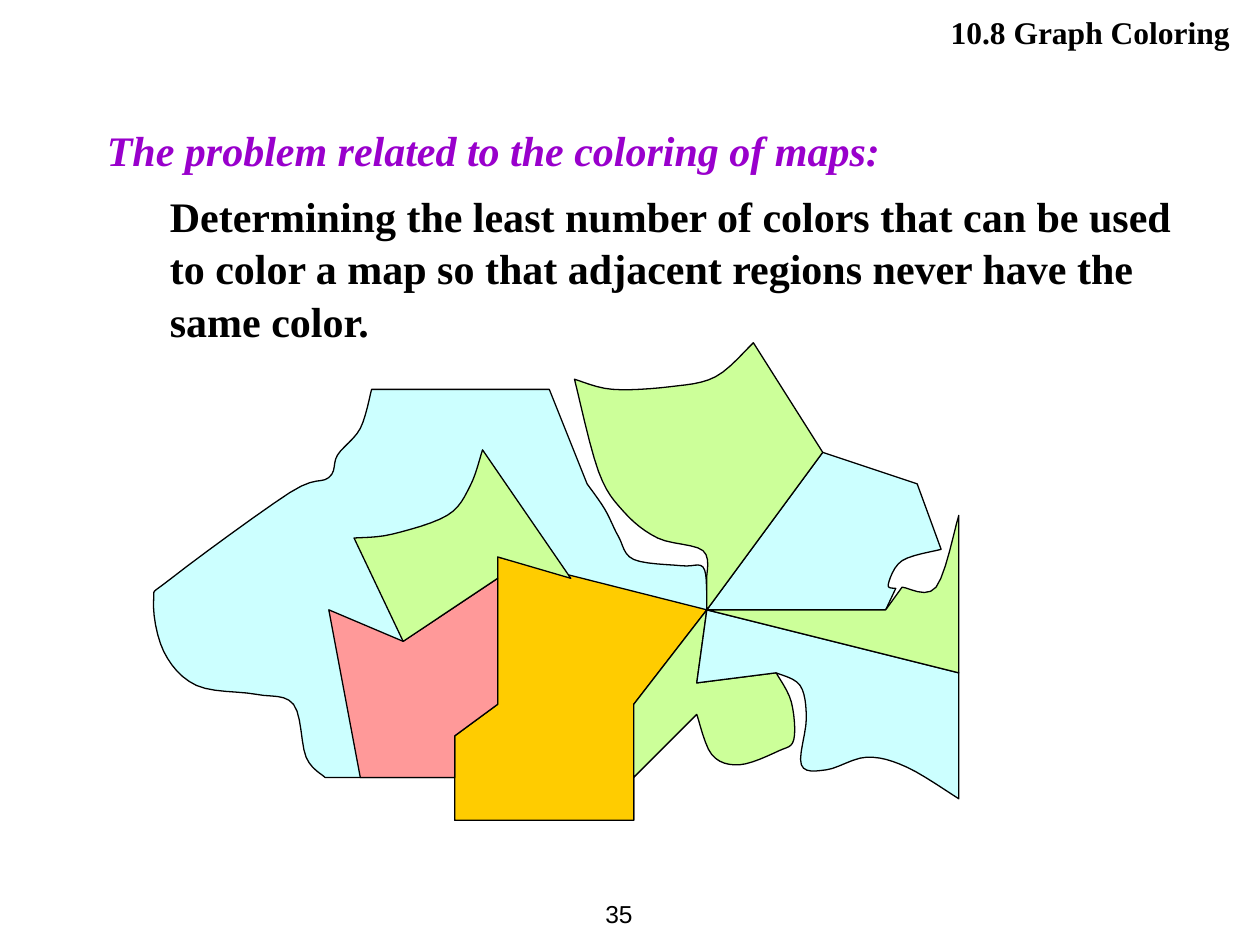
import pptx
import pptx.util
import pptx.dml.color
import pptx.enum.text

Inches, Pt = pptx.util.Inches, pptx.util.Pt
RGB = pptx.dml.color.RGBColor
Align, Anchor = pptx.enum.text.PP_ALIGN, pptx.enum.text.MSO_ANCHOR
AutoSize = pptx.enum.text.MSO_AUTO_SIZE

COLORS = {
    "black": "000000", "purple": "9900CC", "blue": "CCFFFF",
    "orange": "FFCC00", "red": "FF9999", "green": "CCFF99",
}
SERIF, SANS = "Times New Roman", "Arial"
CURVE_STEPS = 6
MAP_GRID = (117, 272, 644, 379)

JOINTS = {
    "hub": (561, 484), "elbow": (503, 559), "port": (503, 617),
    "south east": (503, 651), "south west": (361, 651), "cape": (361, 617),
    "notch": (361, 584), "step": (395, 559), "peak": (395, 442),
    "fork": (395, 459), "valley": (320, 509), "foot": (286, 617),
    "shoulder": (261, 484), "spur": (453, 459), "inlet": (553, 542),
    "border": (761, 534), "bay": (703, 484), "ridge": (653, 359),
    "corner": (728, 384), "top": (436, 309),
}
COASTS = {
    "west": [(295, 309), (286, 340), (268, 361), (261, 379), (230, 391),
             (136, 459), (122, 476), (130, 517), (156, 544), (203, 551),
             (233, 559), (243, 601), (258, 617)],
    "strait": [(561, 470), (558, 450), (541, 449), (503, 444), (491, 426),
               (480, 404), (466, 384)],
    "centre": [(281, 427), (311, 424), (355, 409), (373, 386), (383, 357)],
    "island": [(553, 567), (565, 599), (587, 607), (618, 596), (630, 587),
               (628, 557), (616, 534)],
    "gulf": [(761, 634), (720, 609), (688, 601), (656, 611), (636, 607),
             (640, 570), (635, 544), (616, 534)],
    "creek": [(711, 467), (705, 464), (716, 445), (747, 436)],
    "tongue": [(761, 409), (743, 466), (716, 466)],
    "channel": [(561, 459), (558, 437), (522, 427), (495, 406), (475, 374),
                (456, 301)],
    "north": [(456, 301), (486, 309), (531, 307), (568, 299), (598, 272)],
}
REGIONS = [
    ("blue", ["west", "cape", "south west", "south east", "elbow", "hub",
              "strait", "top"]),
    ("orange", ["south west", "notch", "step", "peak", "hub", "elbow",
                "south east"]),
    ("red", ["foot", "shoulder", "valley", "fork", "step", "notch", "cape"]),
    ("green", ["valley", "centre", "spur", "peak", "fork"]),
    ("green", ["port", "island", "inlet", "hub", "elbow"]),
    ("blue", ["hub", "border", "gulf", "inlet"]),
    ("blue", ["hub", "bay", "creek", "corner", "ridge"]),
    ("green", ["bay", "hub", "border", "tongue"]),
    ("green", ["hub", "channel", "north", "ridge"]),
]


def color(name):
    return RGB.from_string(COLORS[name])


def style(p, size, name, ink="black", bold=False, italic=False):
    for r in p.runs:
        f = r.font
        f.size, f.name, f.bold, f.italic = Pt(size), name, bold, italic
        f.color.rgb = color(ink)


def smooth(points):
    padded = [points[0], *points, points[-1]]
    curve = [points[0]]
    for a, b, c, d in zip(padded, padded[1:], padded[2:], padded[3:]):
        for i in range(1, CURVE_STEPS + 1):
            t = i / CURVE_STEPS
            curve.append(tuple(
                q + t / 2 * (r - p + t * (2 * p - 5 * q + 4 * r - u
                                          + t * (3 * (q - r) + u - p)))
                for p, q, r, u in zip(a, b, c, d)))
    return curve


def outline(names):
    points = []
    for name in names:
        points += smooth(COASTS[name]) if name in COASTS else [JOINTS[name]]
    return points


def add_heading(s, box):
    sp = s.shapes.title
    sp.left, sp.top, sp.width, sp.height = map(Inches, box)
    tf = sp.text_frame
    tf.text = "10.8 Graph Coloring"
    tf.vertical_anchor, tf.auto_size = Anchor.TOP, AutoSize.NONE
    tf.margin_right = Inches(0.16)
    p = tf.paragraphs[0]
    p.alignment = Align.RIGHT
    style(p, 18, SERIF, bold=True)


def add_problem(s, box):
    tf = s.shapes.add_textbox(*map(Inches, box)).text_frame
    tf.word_wrap = True
    tf.text = ("The problem related to the coloring of maps:\n"
               "Determining the least number of colors that can be used to color "
               "a map so that adjacent regions never have the same color.")
    question, answer = tf.paragraphs
    for p in (question, answer):
        p.line_spacing = 1.05
    answer.space_before = Pt(7.2)
    answer._p.get_or_add_pPr().set("marL", str(Inches(0.5)))
    style(question, 24, SERIF, "purple", bold=True, italic=True)
    style(answer, 24, SERIF, bold=True)


def add_map(s, box):
    left, top, width, height = box
    x0, y0, columns, rows = MAP_GRID
    for fill, names in REGIONS:
        points = [(Inches(left + (x - x0) / columns * width),
                   Inches(top + (y - y0) / rows * height))
                  for x, y in outline(names)]
        builder = s.shapes.build_freeform(*points[0])
        builder.add_line_segments(points[1:], close=True)
        sp = builder.convert_to_shape()
        sp.shadow.inherit = False
        sp.fill.solid()
        sp.fill.fore_color.rgb = color(fill)
        sp.line.color.rgb = color("black")
        sp.line.width = Pt(0.75)


def add_page_number(s, box):
    tf = s.shapes.add_textbox(*map(Inches, box)).text_frame
    tf.text = "35"
    tf.word_wrap, tf.vertical_anchor = False, Anchor.MIDDLE
    p = tf.paragraphs[0]
    p.alignment = Align.RIGHT
    style(p, 14, SANS)


def main():
    prs = pptx.Presentation()
    prs.slide_width, prs.slide_height = Inches(10), Inches(7.5)
    s = prs.slides.add_slide(prs.slide_layouts[5])
    add_heading(s, (3.98, 0.05, 5.94, 0.4))
    add_problem(s, (0.75, 0.92, 8.67, 1.82))
    add_map(s, (1.17, 2.72, 6.44, 3.79))
    add_page_number(s, (4.45, 7, 0.67, 0.5))
    prs.save("out.pptx")


if __name__ == "__main__":
    main()
